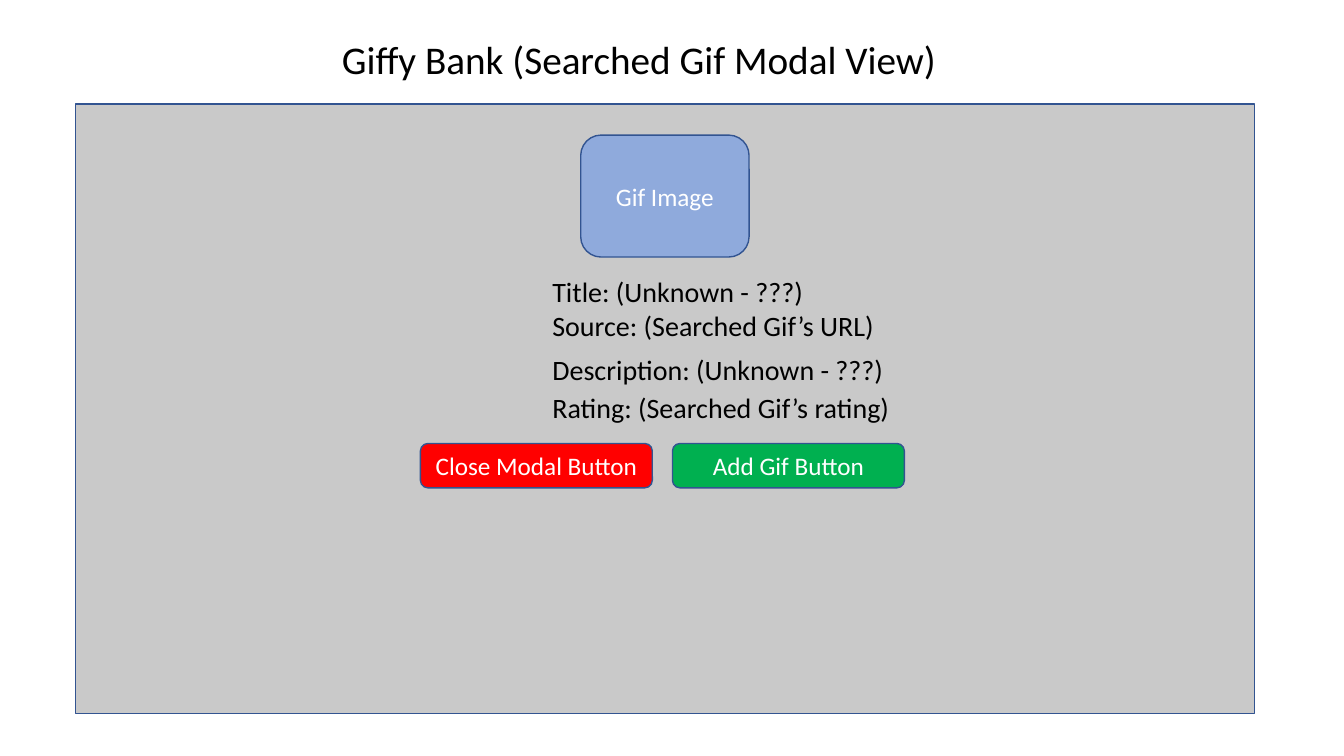
from pptx import Presentation
from pptx.dml.color import RGBColor
from pptx.enum.shapes import MSO_SHAPE
from pptx.enum.text import MSO_ANCHOR, MSO_AUTO_SIZE, PP_ALIGN
from pptx.util import Inches, Pt

FONT = "Calibri"
OUTLINE = "325491"


def color(hex_code):
    return RGBColor.from_string(hex_code)


def add_run(p, text, size, hex_code):
    r = p.add_run()
    r.text = text
    r.font.name = FONT
    r.font.size = Pt(size)
    r.font.color.rgb = color(hex_code)


def add_box(slide, kind, box, fill, label=None):
    sp = slide.shapes.add_shape(kind, *map(Inches, box))
    sp.shadow.inherit = False
    sp.fill.solid()
    sp.fill.fore_color.rgb = color(fill)
    sp.line.color.rgb = color(OUTLINE)
    sp.line.width = Pt(1)
    if label:
        tf = sp.text_frame
        tf.word_wrap = True
        tf.vertical_anchor = MSO_ANCHOR.MIDDLE
        p = tf.paragraphs[0]
        p.alignment = PP_ALIGN.CENTER
        add_run(p, label, 18, "FFFFFF")


def add_line(sp, text, size):
    tf = sp.text_frame
    tf.word_wrap = True
    tf.auto_size = MSO_AUTO_SIZE.NONE
    tf.vertical_anchor = MSO_ANCHOR.TOP
    p = tf.paragraphs[0]
    p.alignment = PP_ALIGN.LEFT
    add_run(p, text, size, "000000")


def build_title(slide, box):
    sp = slide.shapes.title
    sp.left, sp.top, sp.width, sp.height = map(Inches, box)
    add_line(sp, "Giffy Bank (Searched Gif Modal View)", 28)


def build_details(slide, left, top):
    details = [
        (0, "Title: (Unknown - ???)"),
        (0.34, "Source: (Searched Gif’s URL)"),
        (0.78, "Description: (Unknown - ???)"),
        (1.15, "Rating: (Searched Gif’s rating)"),
    ]
    for offset, text in details:
        box = (left, top + offset, 4.5, 0.44)
        add_line(slide.shapes.add_textbox(*map(Inches, box)), text, 20)


def build_buttons(slide, left, top):
    width, gap = 2.3, 0.2
    buttons = [("Close Modal Button", "FF0000"), ("Add Gif Button", "00B050")]
    for i, (label, fill) in enumerate(buttons):
        box = (left + i * (width + gap), top, width, 0.44)
        add_box(slide, MSO_SHAPE.ROUNDED_RECTANGLE, box, fill, label)


def build_modal(slide, box):
    left, top, width, _ = box
    add_box(slide, MSO_SHAPE.RECTANGLE, box, "C9C9C9")
    # Gif preview, centred in the modal
    gif_width = 1.67
    gif_box = (left + (width - gif_width) / 2, top + 0.31, gif_width, 1.21)
    add_box(slide, MSO_SHAPE.ROUNDED_RECTANGLE, gif_box, "8FAADC", "Gif Image")
    # Details and actions
    build_details(slide, left + 4.63, top + 1.64)
    build_buttons(slide, left + 3.42, top + 3.37)


prs = Presentation()
prs.slide_width, prs.slide_height = Inches(13.33), Inches(7.5)
s = prs.slides.add_slide(prs.slide_layouts[5])
build_title(s, (3.29, 0.3, 6.75, 0.57))
build_modal(s, (0.75, 1.03, 11.69, 6.05))
prs.save("out.pptx")
